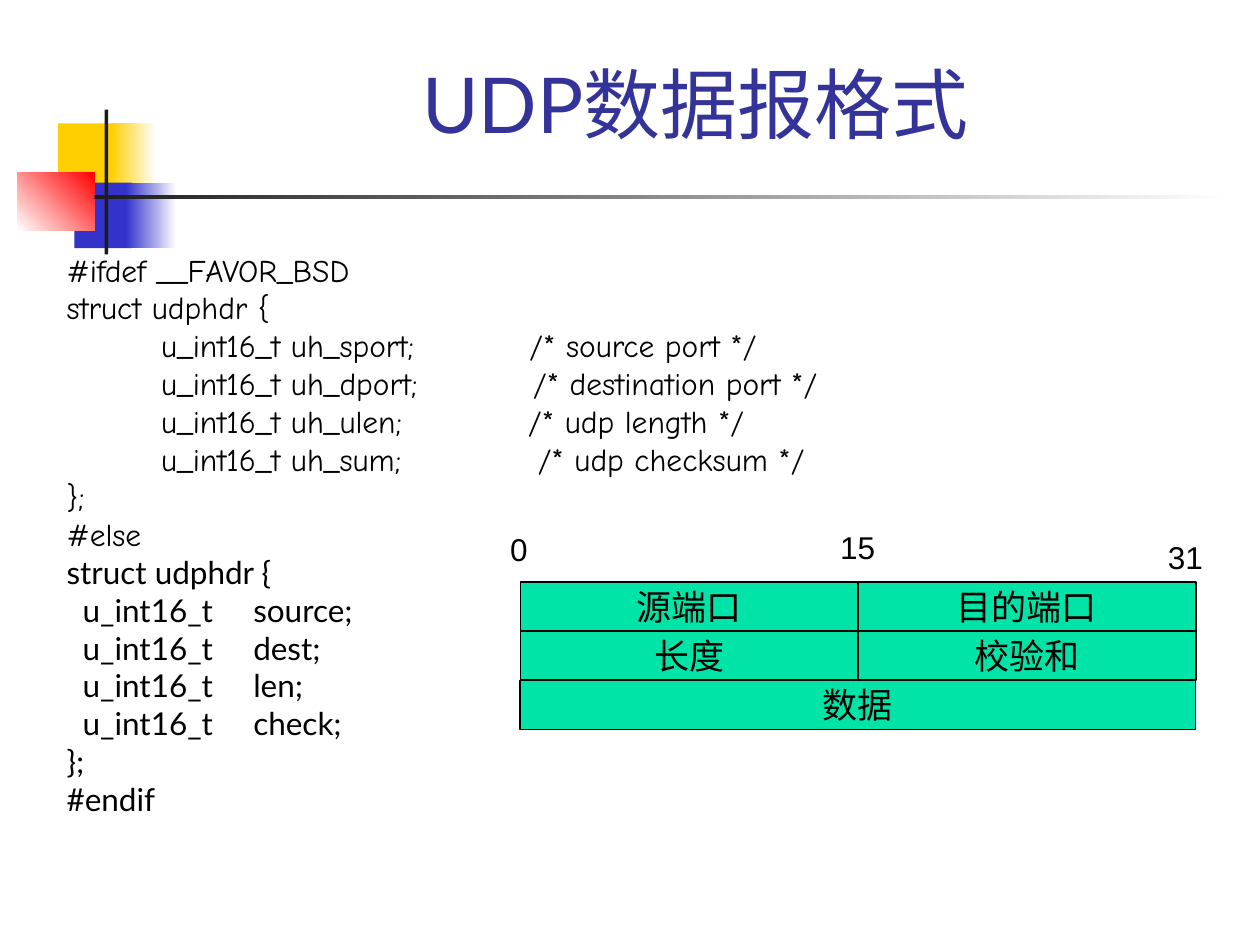
from dataclasses import dataclass
from typing import Optional

from pptx import Presentation
from pptx.dml.color import RGBColor
from pptx.enum.shapes import MSO_SHAPE
from pptx.enum.text import MSO_ANCHOR, MSO_AUTO_SIZE, PP_ALIGN
from pptx.slide import Slide
from pptx.text.text import TextFrame
from pptx.util import Inches, Pt

YELLOW = RGBColor(0xFF, 0xCF, 0x01)
BLUE = RGBColor(0x33, 0x33, 0xCC)
RED = RGBColor(0xFF, 0x00, 0x00)
CHARCOAL = RGBColor(0x1C, 0x1C, 0x1C)
WHITE = RGBColor(0xFF, 0xFF, 0xFF)
BLACK = RGBColor(0x00, 0x00, 0x00)
TITLE_BLUE = RGBColor(0x33, 0x33, 0x99)
FIELD_GREEN = RGBColor(0x00, 0xE4, 0xA8)

FIELD_LEFT, FIELD_TOP = 4.13, 4.62
FIELD_WIDTH, FIELD_HEIGHT = 2.68, 0.39


@dataclass
class Box:
    left: float
    top: float
    width: float
    height: float

    def lengths(self) -> tuple:
        return tuple(Inches(n) for n in (self.left, self.top, self.width, self.height))


@dataclass
class Ornament:
    box: Box
    color: RGBColor
    fade_to: Optional[RGBColor] = None
    angle: float = 0


@dataclass
class Field:
    name: str
    row: int
    column: int
    span: int = 1


@dataclass
class BitLabel:
    text: str
    box: Box


ORNAMENTS = [
    Ornament(Box(0.46, 0.98, 0.48, 0.52), YELLOW),
    Ornament(Box(0.88, 0.98, 0.36, 0.52), YELLOW, WHITE),
    Ornament(Box(0.59, 1.45, 0.46, 0.52), BLUE),
    Ornament(Box(1, 1.45, 0.4, 0.52), BLUE, WHITE),
    Ornament(Box(0.14, 1.37, 0.61, 0.46), WHITE, RED, 45),
    Ornament(Box(0.83, 0.87, 0.03, 1.15), CHARCOAL),
    Ornament(Box(0.75, 1.55, 9, 0.03), CHARCOAL, WHITE),
]

FIELDS = [
    Field("源端口", 0, 0),
    Field("目的端口", 0, 1),
    Field("长度", 1, 0),
    Field("校验和", 1, 1),
    Field("数据", 2, 0, 2),
]

BIT_LABELS = [
    BitLabel("0", Box(3.95, 4.16, 0.34, 0.4)),
    BitLabel("15", Box(6.57, 4.14, 0.48, 0.4)),
    BitLabel("31", Box(9.17, 4.22, 0.48, 0.4)),
]

BSD_CODE = """#ifdef __FAVOR_BSD
struct udphdr {
         u_int16_t uh_sport;           /* source port */
         u_int16_t uh_dport;           /* destination port */
         u_int16_t uh_ulen;            /* udp length */
         u_int16_t uh_sum;             /* udp checksum */
};
#else"""

LINUX_CODE = """struct udphdr {
  u_int16_t     source;
  u_int16_t     dest;
  u_int16_t     len;
  u_int16_t     check;
};
#endif"""


def format_text(text_frame: TextFrame, font_name: str, size: float,
                color: RGBColor = BLACK, alignment: PP_ALIGN = PP_ALIGN.LEFT) -> None:
    for paragraph in text_frame.paragraphs:
        paragraph.alignment = alignment
        for run in paragraph.runs:
            run.font.name = font_name
            run.font.size = Pt(size)
            run.font.color.rgb = color


def draw_ornament(slide: Slide, ornament: Ornament) -> None:
    shape = slide.shapes.add_shape(MSO_SHAPE.RECTANGLE, *ornament.box.lengths())
    shape.shadow.inherit = False
    shape.line.fill.background()
    if ornament.fade_to is None:
        shape.fill.solid()
        shape.fill.fore_color.rgb = ornament.color
        return
    shape.fill.gradient()
    shape.fill.gradient_angle = ornament.angle
    colors = (ornament.color, ornament.fade_to)
    for position, (stop, color) in enumerate(zip(shape.fill.gradient_stops, colors)):
        stop.position = position
        stop.color.rgb = color


def draw_field(slide: Slide, field: Field) -> None:
    box = Box(FIELD_LEFT + field.column * FIELD_WIDTH,
              FIELD_TOP + field.row * FIELD_HEIGHT,
              field.span * FIELD_WIDTH, FIELD_HEIGHT)
    shape = slide.shapes.add_shape(MSO_SHAPE.RECTANGLE, *box.lengths())
    shape.shadow.inherit = False
    shape.fill.solid()
    shape.fill.fore_color.rgb = FIELD_GREEN
    shape.line.color.rgb = BLACK
    shape.line.width = Pt(1)
    text_frame = shape.text_frame
    text_frame.text = field.name
    text_frame.word_wrap = False
    text_frame.vertical_anchor = MSO_ANCHOR.MIDDLE
    format_text(text_frame, "Arial", 20, alignment=PP_ALIGN.CENTER)


def add_text(slide: Slide, text: str, box: Box, wrap: bool = True) -> TextFrame:
    text_frame = slide.shapes.add_textbox(*box.lengths()).text_frame
    text_frame.text = text
    text_frame.word_wrap = wrap
    return text_frame


def draw_title(slide: Slide) -> None:
    text_frame = add_text(slide, "UDP数据报格式", Box(1.26, 0.23, 8.52, 1))
    text_frame.vertical_anchor = MSO_ANCHOR.BOTTOM
    format_text(text_frame, "Lato", 44, TITLE_BLUE, PP_ALIGN.CENTER)


def draw_bit_label(slide: Slide, label: BitLabel) -> None:
    text_frame = add_text(slide, label.text, label.box, wrap=False)
    text_frame.auto_size = MSO_AUTO_SIZE.SHAPE_TO_FIT_TEXT
    format_text(text_frame, "Arial", 18)


def draw_code(slide: Slide) -> None:
    text_frame = add_text(slide, f"{BSD_CODE}\n{LINUX_CODE}", Box(0.43, 1.94, 6.93, 4.91))
    text_frame.auto_size = MSO_AUTO_SIZE.SHAPE_TO_FIT_TEXT
    format_text(text_frame, "Comic Neue", 18)
    for paragraph in text_frame.paragraphs[len(BSD_CODE.splitlines()):]:
        for run in paragraph.runs:
            run.font.name = "Lato"


def main() -> None:
    presentation = Presentation()
    presentation.slide_width = Inches(10)
    presentation.slide_height = Inches(7.5)
    slide = presentation.slides.add_slide(presentation.slide_layouts[6])
    for ornament in ORNAMENTS:
        draw_ornament(slide, ornament)
    draw_title(slide)
    for field in FIELDS:
        draw_field(slide, field)
    for label in BIT_LABELS:
        draw_bit_label(slide, label)
    draw_code(slide)
    presentation.save("out.pptx")


if __name__ == "__main__":
    main()
